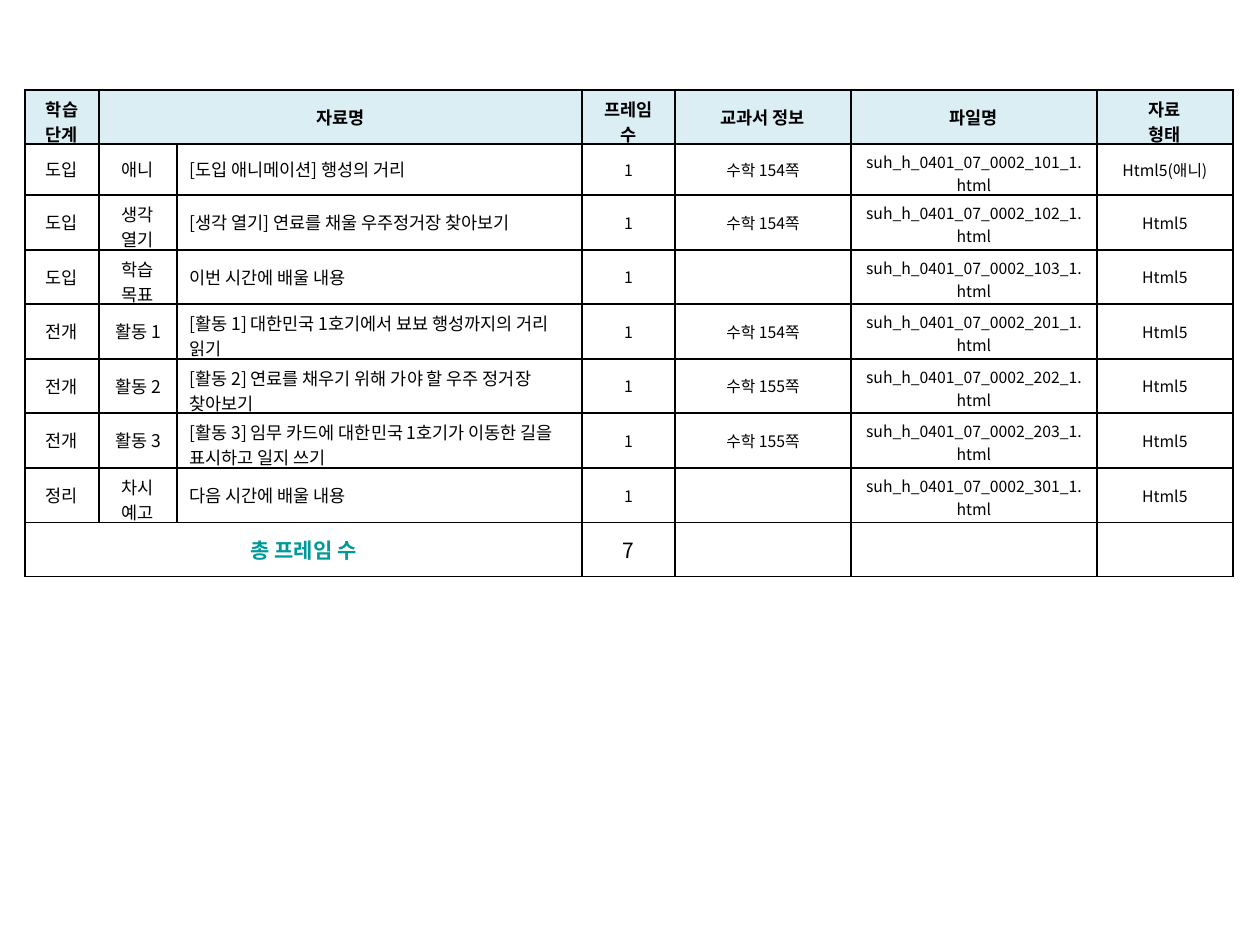
from lxml import etree
from pptx import Presentation
from pptx.dml.color import RGBColor
from pptx.enum.text import MSO_ANCHOR, PP_ALIGN
from pptx.oxml.ns import qn
from pptx.util import Pt

PX = 914400 / 126
FONT = "Noto Sans CJK KR"
COLORS = {"text": "000000", "border": "000000", "header": "DBEEF4", "total": "009999"}
LEFT, CENTER = PP_ALIGN.LEFT, PP_ALIGN.CENTER
MIDDLE = MSO_ANCHOR.MIDDLE

COLUMN_WIDTHS = [74, 78, 405, 93, 176, 246, 136]
ROW_HEIGHTS = [54, 51, 55, 54, 55, 54, 55, 55, 54]
SECTION_COLUMN, TITLE_COLUMN, FILE_COLUMN = 1, 2, 5
COLUMN_SIZES = [10, 10, 10, 9, 9, 9, 9]
TOP_MARGIN = 6
TWO_LINE_HEIGHTS = {9: 46, 10: 51}

HEADER = ["학습 단계", "자료명", "", "프레임 수", "교과서 정보", "파일명", "자료\n형태"]
WRAPPED_TEXTS = {"학습 단계", "프레임 수", "자료\n형태", "생각 열기", "학습 목표", "차시 예고"}
# Stage, section, title, textbook page, file number, format
LESSONS = [
    ("도입", "애니", "[도입 애니메이션] 행성의 거리", "수학 154쪽", 101, "Html5(애니)"),
    ("도입", "생각 열기", "[생각 열기] 연료를 채울 우주정거장 찾아보기", "수학 154쪽", 102, "Html5"),
    ("도입", "학습 목표", "이번 시간에 배울 내용", "", 103, "Html5"),
    ("전개", "활동 1", "[활동 1] 대한민국 1호기에서 뵤뵤 행성까지의 거리 읽기", "수학 154쪽", 201, "Html5"),
    ("전개", "활동 2", "[활동 2] 연료를 채우기 위해 가야 할 우주 정거장 찾아보기", "수학 155쪽", 202, "Html5"),
    ("전개", "활동 3", "[활동 3] 임무 카드에 대한민국 1호기가 이동한 길을 표시하고 일지 쓰기", "수학 155쪽", 203, "Html5"),
    ("정리", "차시 예고", "다음 시간에 배울 내용", "", 301, "Html5"),
]
TOTAL = ["총 프레임 수", "", "", str(len(LESSONS)), "", "", ""]


def px(length):
    return round(length * PX)


def add_borders(cell):
    properties = cell._tc.get_or_add_tcPr()
    for position, side in enumerate(("lnL", "lnR", "lnT", "lnB")):
        line = etree.Element(qn(f"a:{side}"), w=str(Pt(1)))
        fill = etree.SubElement(line, qn("a:solidFill"))
        etree.SubElement(fill, qn("a:srgbClr"), val=COLORS["border"])
        properties.insert(position, line)


deck = Presentation()
deck.slide_width, deck.slide_height = px(1260), px(945)
page = deck.slides.add_slide(deck.slide_layouts[6])

rows = [HEADER]
for stage, section, title, textbook, number, kind in LESSONS:
    rows.append([stage, section, title, "1", textbook,
                 f"suh_h_0401_07_0002_{number}_1.html", kind])
rows.append(TOTAL)
last_row = len(rows) - 1

table = page.shapes.add_table(
    len(rows), len(COLUMN_WIDTHS), px(25), px(90),
    px(sum(COLUMN_WIDTHS)), px(sum(ROW_HEIGHTS))).table
table.first_row = table.horz_banding = False
for column, width in zip(table.columns, COLUMN_WIDTHS):
    column.width = px(width)
for row, height in zip(table.rows, ROW_HEIGHTS):
    row.height = px(height)

for row_index, texts in enumerate(rows):
    is_header, is_total = row_index == 0, row_index == last_row
    for column_index, text in enumerate(texts):
        cell = table.cell(row_index, column_index)
        cell.vertical_anchor = MIDDLE
        if is_header:
            cell.fill.solid()
            cell.fill.fore_color.rgb = RGBColor.from_string(COLORS["header"])
        else:
            cell.fill.background()
        add_borders(cell)
        if not text:
            continue

        size = 10 if is_header else 12 if is_total else COLUMN_SIZES[column_index]
        is_wrapped = (text in WRAPPED_TEXTS or text.startswith("[활동")
                      or text.endswith(".html"))
        if is_wrapped:
            # Two lines start at the top margin and may run into the bottom one
            cell.margin_top = px(TOP_MARGIN)
            cell.margin_bottom = px(
                ROW_HEIGHTS[row_index] - TOP_MARGIN - TWO_LINE_HEIGHTS[size])

        is_total_label = is_total and column_index == 0
        font_format = {
            "name": FONT,
            "size": Pt(size),
            "bold": is_header or is_total_label,
        }
        color = COLORS["total" if is_total_label else "text"]
        is_title = column_index == TITLE_COLUMN and not is_header
        cell.text = text
        for para in cell.text_frame.paragraphs:
            para.alignment = LEFT if is_title else CENTER
            for span in para.runs:
                for name, value in font_format.items():
                    setattr(span.font, name, value)
                span.font.color.rgb = RGBColor.from_string(color)
                east_asian = etree.SubElement(span.font._element, qn("a:ea"))
                east_asian.set("typeface", FONT)

table.cell(0, 1).merge(table.cell(0, 2))
table.cell(last_row, 0).merge(table.cell(last_row, 2))

deck.save("out.pptx")
